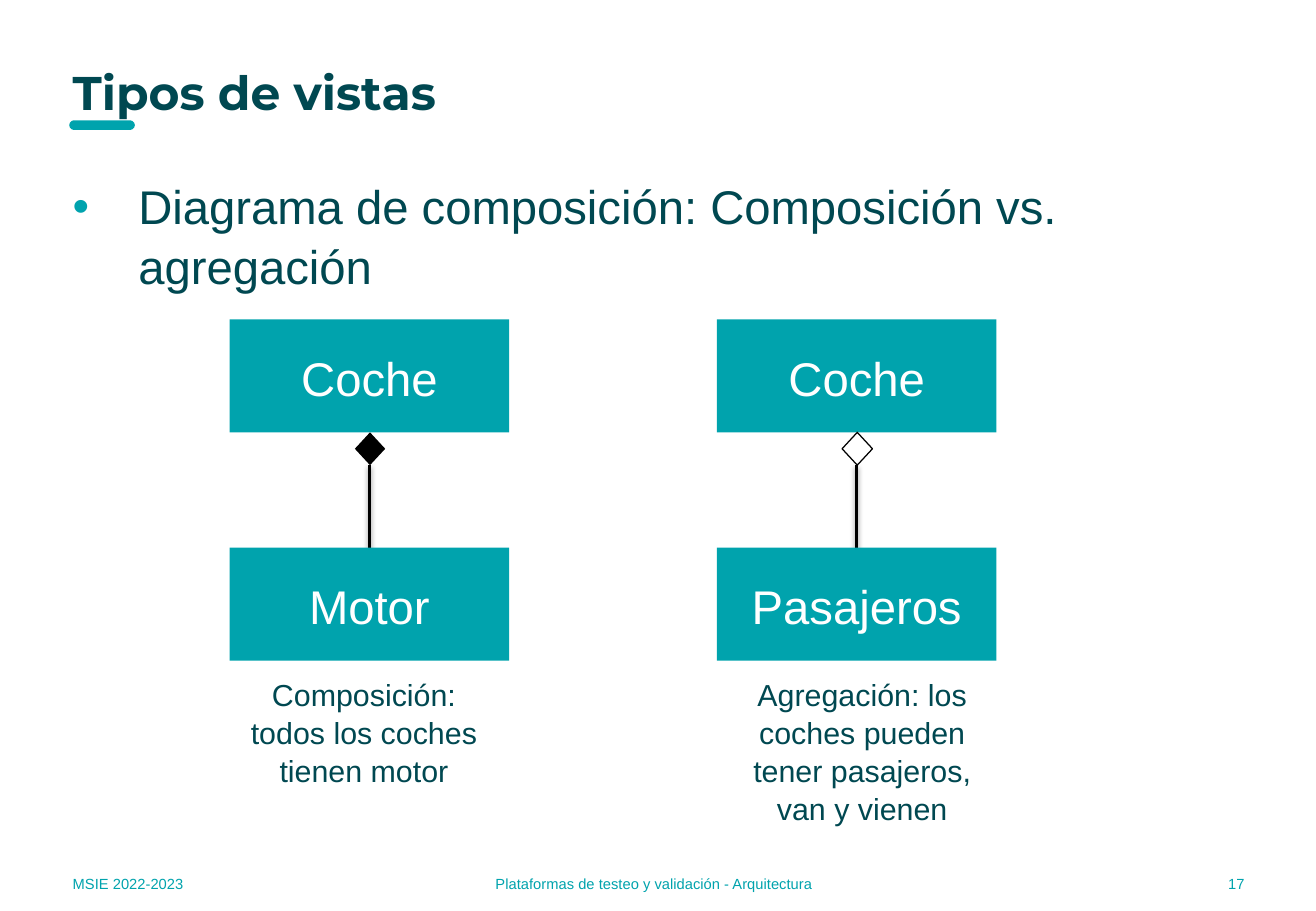
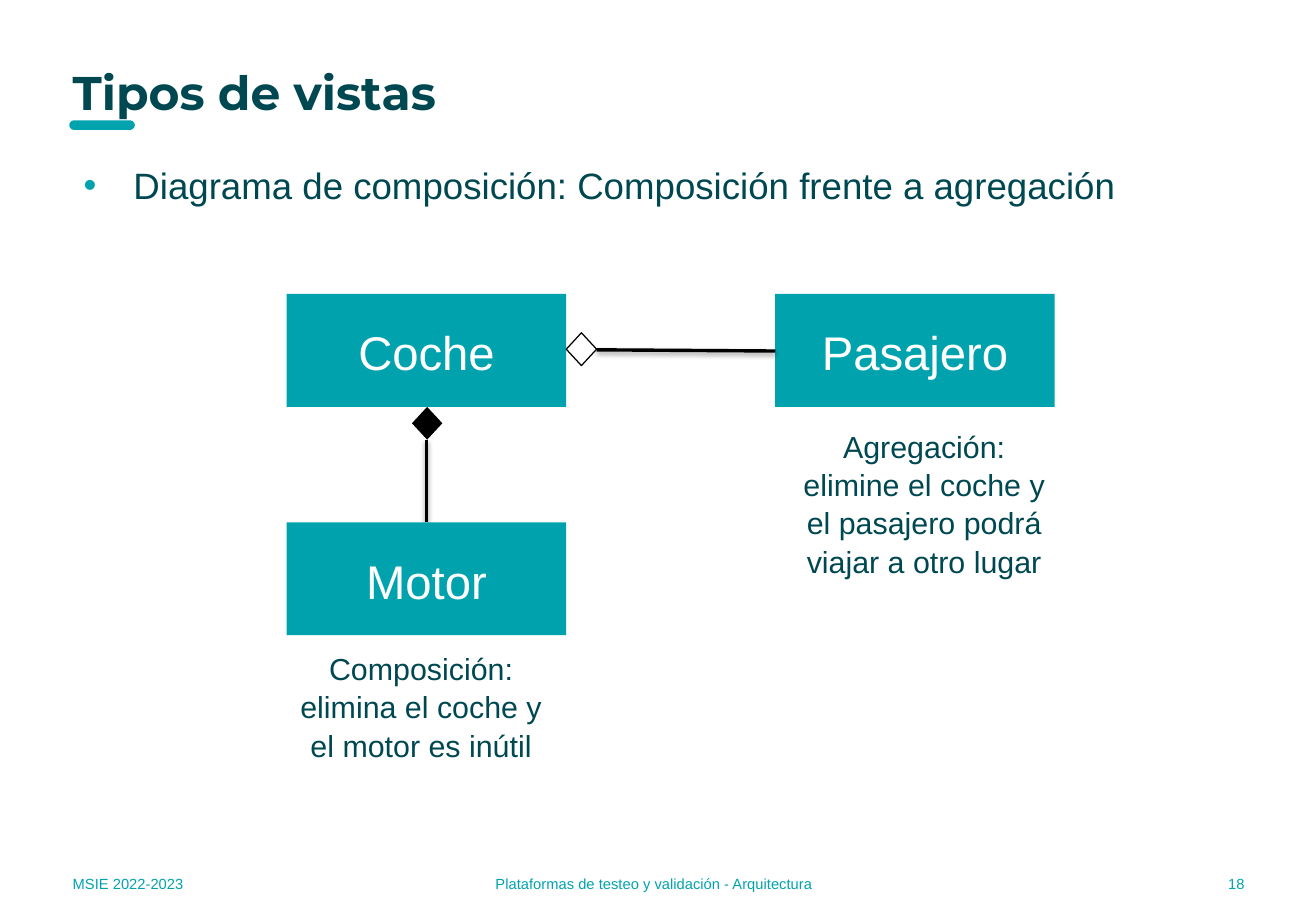
from lxml import etree
from pptx import Presentation
from pptx import util as u
from pptx.dml.color import RGBColor
from pptx.enum import shapes, text
from pptx.oxml.ns import qn

PX = 9144  # EMU per px, 100 px to the inch
COLORS = {
    "teal": "00A3AD",
    "bullet": "00A3AE",
    "dark": "004851",
    "white": "FFFFFF",
    "black": "000000",
}
BOX_W, BOX_H = 230, 93
DIAMOND_W, DIAMOND_H = 25, 27
LINK_H = 95  # gap between stacked boxes
CAPTION_W = 239
LEFT, CENTER, RIGHT = text.PP_ALIGN.LEFT, text.PP_ALIGN.CENTER, text.PP_ALIGN.RIGHT
TOP, MIDDLE = text.MSO_ANCHOR.TOP, text.MSO_ANCHOR.MIDDLE


def rgb(name):
    return RGBColor.from_string(COLORS[name])


def px(*lengths):
    return [u.Emu(length * PX) for length in lengths]


# Text
def write(shape, words, size, color, align=LEFT, anchor=TOP,
          font="Arial", bold=False, spacing=1.05):
    frame = shape.text_frame
    frame.word_wrap = True
    frame.vertical_anchor = anchor
    frame.text = words
    para = frame.paragraphs[0]
    para.alignment = align
    para.line_spacing = spacing
    span = para.runs[0]
    span.font.name = font
    span.font.size = u.Pt(size)
    span.font.bold = bold
    span.font.color.rgb = rgb(color)
    return para


def add_text(page, at, words, size, color, **style):
    return write(page.shapes.add_textbox(*px(*at)), words, size, color, **style)


def add_bullet(page, at, words, size, indent, spacing):
    para = add_text(page, at, words, size, "dark", spacing=spacing)
    para.space_before = u.Pt(2)
    props = para._p.get_or_add_pPr()
    props.set("marL", str(indent * PX))
    props.set("indent", str(-indent * PX))
    tint = etree.SubElement(props, qn("a:buClr"))
    etree.SubElement(tint, qn("a:srgbClr"), val=COLORS["bullet"])
    etree.SubElement(props, qn("a:buFont"), typeface="Arial")
    etree.SubElement(props, qn("a:buChar"), char="•")


def add_caption(page, x, y, height, words):
    add_text(page, (x, y, CAPTION_W, height), words, 18, "dark", align=CENTER)


# Shapes
def add_shape(page, kind, at, fill=None, line=None):
    shape = page.shapes.add_shape(kind, *px(*at))
    shape.shadow.inherit = False
    if fill:
        shape.fill.solid()
        shape.fill.fore_color.rgb = rgb(fill)
    else:
        shape.fill.background()
    if line:
        shape.line.color.rgb = rgb(line)
        shape.line.width = u.Pt(0.75)
    else:
        shape.line.fill.background()
    return shape


def add_class(page, x, y, name):
    box = add_shape(page, shapes.MSO_SHAPE.RECTANGLE, (x, y, BOX_W, BOX_H), "teal")
    write(box, name, 28, "white", align=CENTER, anchor=MIDDLE)


def add_diamond(page, x, y, filled):
    add_shape(page, shapes.MSO_SHAPE.DIAMOND, (x, y, DIAMOND_W, DIAMOND_H),
              "black" if filled else None, None if filled else "black")


def add_line(page, *ends):
    line = page.shapes.add_connector(shapes.MSO_CONNECTOR.STRAIGHT, *px(*ends))
    line.line.color.rgb = rgb("black")
    line.line.width = u.Pt(2)
    effects = etree.SubElement(line._element.spPr, qn("a:effectLst"))
    shadow = etree.SubElement(
        effects, qn("a:outerShdw"), blurRad=str(u.Pt(3.1)), dist=str(u.Pt(1.6)),
        dir="5400000", rotWithShape="0")
    tint = etree.SubElement(shadow, qn("a:srgbClr"), val=COLORS["black"])
    etree.SubElement(tint, qn("a:alpha"), val="38000")


# Two stacked classes joined by a diamond and a line
def add_stack(page, x, y, whole, part, filled):
    middle, bottom = x + BOX_W // 2, y + BOX_H
    add_class(page, x, y, whole)
    add_diamond(page, middle - DIAMOND_W // 2, bottom, filled)
    add_line(page, middle, bottom + DIAMOND_H, middle, bottom + LINK_H)
    add_class(page, x, bottom + LINK_H, part)


# Title, underline and footer shared by all slides
def add_page(deck, number):
    page = deck.slides.add_slide(deck.slide_layouts[6])
    bar = add_shape(page, shapes.MSO_SHAPE.ROUNDED_RECTANGLE, (57, 99, 54, 8), "teal")
    bar.adjustments[0] = 0.5
    add_text(page, (50, 52, 908, 47), "Tipos de vistas", 28, "dark",
             anchor=MIDDLE, font="Montserrat", bold=True, spacing=1.0)
    footer = (
        (50, 140, "MSIE 2022-2023", LEFT),
        (257, 566, "Plataformas de testeo y validación - Arquitectura ", CENTER),
        (902, 132, str(number), RIGHT),
    )
    for x, width, words, align in footer:
        add_text(page, (x, 707, width, 40), words, 8.7, "teal",
                 align=align, anchor=MIDDLE)
    return page


def add_comparison(deck):
    page = add_page(deck, 17)
    add_bullet(page, (50, 139, 1018, 526),
               "Diagrama de composición: Composición vs. agregación", 28, 54, 1.05)
    add_stack(page, 189, 263, "Coche", "Motor", True)
    add_stack(page, 590, 263, "Coche", "Pasajeros", False)
    add_caption(page, 180, 550, 101, "Composición: todos los coches tienen motor")
    add_caption(page, 590, 550, 131,
                "Agregación: los coches pueden tener pasajeros, van y vienen")


def add_combined(deck):
    page = add_page(deck, 18)
    add_bullet(page, (59, 118, 874, 53),
               "Diagrama de composición: Composición frente a agregación", 21.7, 41, 1.3)
    x, y, passenger_x = 236, 242, 638
    add_stack(page, x, y, "Coche", "Motor", True)
    add_class(page, passenger_x, y, "Pasajero")
    side, middle = x + BOX_W, y + BOX_H // 2
    add_diamond(page, side, middle - DIAMOND_H // 2 - 1, False)
    add_line(page, side + DIAMOND_W, middle, passenger_x, middle + 1)
    add_caption(page, 227, 529, 101,
                "Composición: elimina el coche y el motor es inútil")
    add_caption(page, 641, 346, 131,
                "Agregación: elimine el coche y el pasajero podrá viajar a otro lugar")


def main():
    deck = Presentation()
    deck.slide_width, deck.slide_height = px(1083, 750)
    add_comparison(deck)
    add_combined(deck)
    deck.save("out.pptx")


if __name__ == "__main__":
    main()
